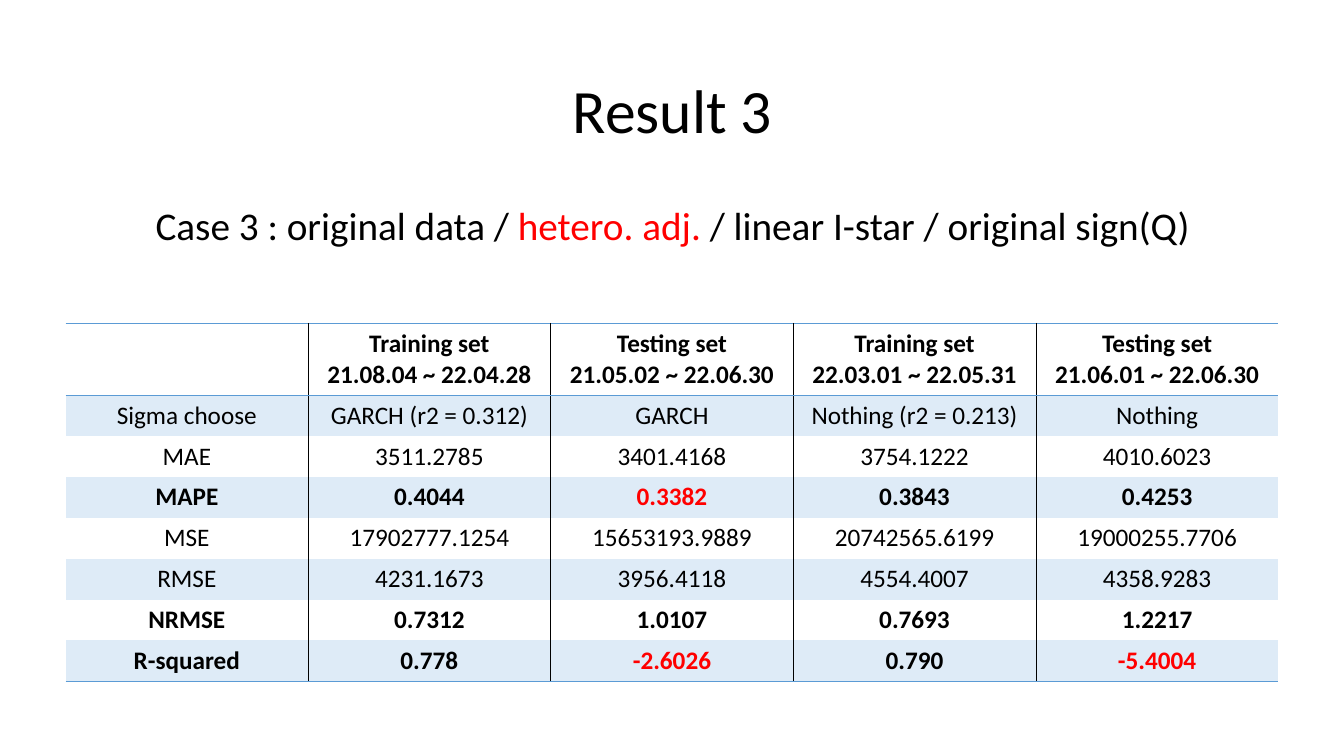
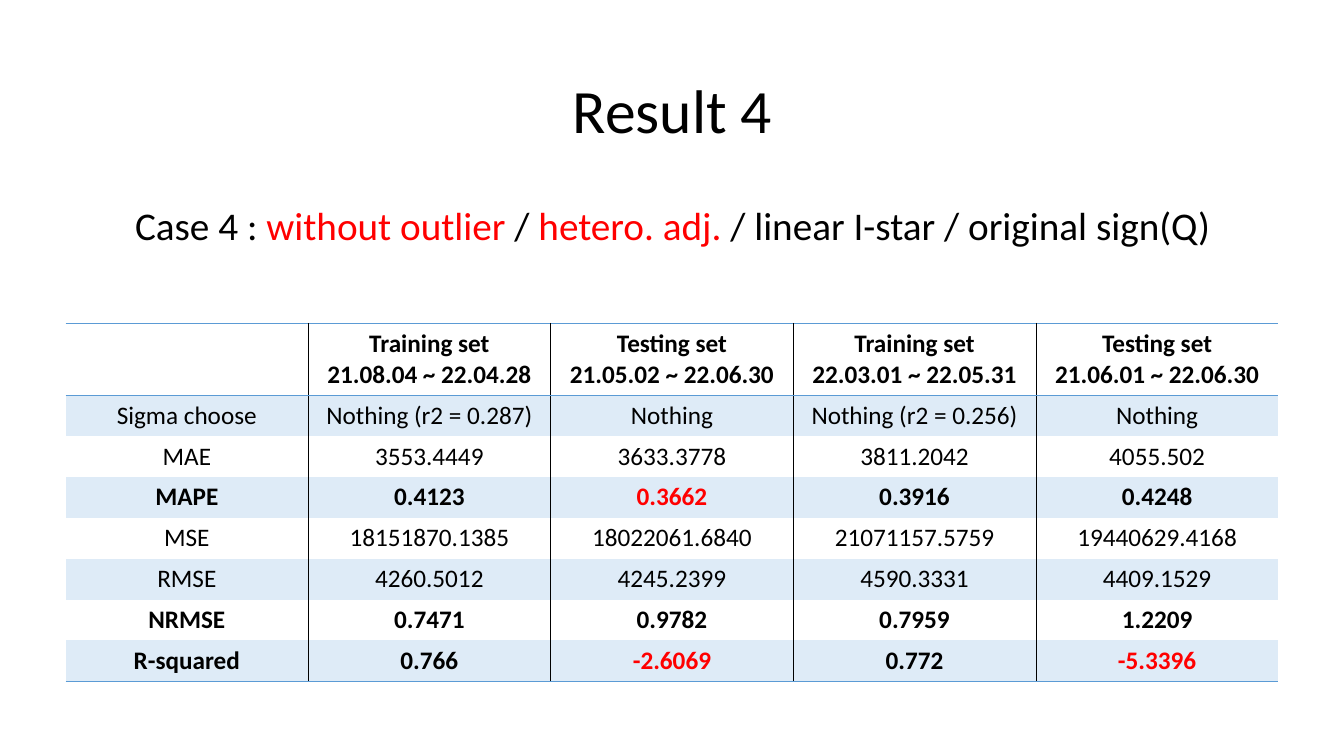
import pptx
import pptx.dml.color
import pptx.enum.text
import pptx.oxml
import pptx.oxml.ns
import pptx.util
from pptx.util import Inches

FONT = "Calibri"
BLACK, RED, BLUE, BAND = "000000", "FF0000", "5B9BD5", "DEEBF7"

# Content shared by the slides
PERIODS = [
    ("Training set", "21.08.04 ~ 22.04.28"),
    ("Testing set", "21.05.02 ~ 22.06.30"),
    ("Training set", "22.03.01 ~ 22.05.31"),
    ("Testing set", "21.06.01 ~ 22.06.30"),
]
METRICS = ["Sigma choose", "MAE", "MAPE", "MSE", "RMSE", "NRMSE", "R-squared"]
BOLD_METRICS = {"MAPE", "NRMSE", "R-squared"}
RED_VALUES = {("MAPE", 2), ("R-squared", 2), ("R-squared", 4)}

# Content of each slide: values follow the order of METRICS
RESULTS = [
    {
        "title": "Result 3",
        "case": [("Case 3 : original data / ", BLACK), ("hetero. adj. ", RED),
                 ("/ linear I-star / original sign(Q)", BLACK)],
        "values": [
            ("GARCH (r2 = 0.312)", "GARCH", "Nothing (r2 = 0.213)", "Nothing"),
            ("3511.2785", "3401.4168", "3754.1222", "4010.6023"),
            ("0.4044", "0.3382", "0.3843", "0.4253"),
            ("17902777.1254", "15653193.9889", "20742565.6199", "19000255.7706"),
            ("4231.1673", "3956.4118", "4554.4007", "4358.9283"),
            ("0.7312", "1.0107", "0.7693", "1.2217"),
            ("0.778", "-2.6026", "0.790", "-5.4004"),
        ],
    },
    {
        "title": "Result 4",
        "case": [("Case 4 : ", BLACK), ("without outlier", RED), (" / ", BLACK),
                 ("hetero. adj. ", RED), ("/ linear I-star / original sign(Q)", BLACK)],
        "values": [
            ("Nothing (r2 = 0.287)", "Nothing", "Nothing (r2 = 0.256)", "Nothing"),
            ("3553.4449", "3633.3778", "3811.2042", "4055.502"),
            ("0.4123", "0.3662", "0.3916", "0.4248"),
            ("18151870.1385", "18022061.6840", "21071157.5759", "19440629.4168"),
            ("4260.5012", "4245.2399", "4590.3331", "4409.1529"),
            ("0.7471", "0.9782", "0.7959", "1.2209"),
            ("0.766", "-2.6069", "0.772", "-5.3396"),
        ],
    },
]

# Layout
TITLE_AREA = (0.92, 0.4, 11.5, 1.45)
CASE_AREA = (0.92, 2, 11.5, 4.76)
TABLE_AREA = (0.65, 3.21, 12.03, 3.54)
HEADER_HEIGHT = 0.7
COLUMN_RULES = [1, 0.5, 1, 0.5]  # widths of the lines between columns


def rgb(value):
    return pptx.dml.color.RGBColor.from_string(value)


def write(frame, lines, size=18, bold=False, color=BLACK, spacing=None):
    """Fill a text frame; a line is a string or a list of (text, colour)."""
    for number, line in enumerate(lines):
        paragraph = frame.add_paragraph() if number else frame.paragraphs[0]
        paragraph.alignment = pptx.enum.text.PP_ALIGN.CENTER
        paragraph.space_before = pptx.util.Pt(0)
        if spacing:
            paragraph.line_spacing = spacing
        parts = [(line, color)] if isinstance(line, str) else line
        for text, part_color in parts:
            run = paragraph.add_run()
            run.text = text
            run.font.name = FONT
            run.font.size = pptx.util.Pt(size)
            run.font.bold = bold
            run.font.color.rgb = rgb(part_color)


def set_borders(cell, **rules):
    """Draw the given sides as (colour, points) and clear the others."""
    properties = cell._tc.get_or_add_tcPr()
    for side in "LRTB":
        color, points = rules.get(side) or (None, 0)
        paint = (f'<a:solidFill><a:srgbClr val="{color}"/></a:solidFill>'
                 if color else "<a:noFill/>")
        properties.append(pptx.oxml.parse_xml(
            f'<a:ln{side} {pptx.oxml.ns.nsdecls("a")} '
            f'w="{int(pptx.util.Pt(points))}">{paint}</a:ln{side}>'))


def place(placeholder, area):
    (placeholder.left, placeholder.top,
     placeholder.width, placeholder.height) = map(Inches, area)


def prepare_layout(layout):
    """Give both slides the same title and case line areas."""
    title, case = layout.placeholders[0], layout.placeholders[1]
    for placeholder, area in ((title, TITLE_AREA), (case, CASE_AREA)):
        place(placeholder, area)
    title.text_frame.vertical_anchor = pptx.enum.text.MSO_ANCHOR.MIDDLE


def add_case(body, parts):
    body.text_frame.auto_size = pptx.enum.text.MSO_AUTO_SIZE.NONE
    properties = body.text_frame.paragraphs[0]._p.get_or_add_pPr()
    properties.set("marL", "0")
    properties.set("indent", "0")
    properties.append(pptx.oxml.parse_xml(
        f'<a:buNone {pptx.oxml.ns.nsdecls("a")}/>'))
    write(body.text_frame, [parts], size=28, spacing=0.9)


def add_results_table(slide, values):
    row_count, column_count = len(METRICS) + 1, len(PERIODS) + 1
    table = slide.shapes.add_table(
        row_count, column_count, *map(Inches, TABLE_AREA)).table
    table.horz_banding = False
    width, height = TABLE_AREA[2:]
    for column in table.columns:
        column.width = Inches(width / column_count)
    for number, row in enumerate(table.rows):
        row.height = Inches((height - HEADER_HEIGHT) / len(METRICS)
                            if number else HEADER_HEIGHT)

    # Each cell is a list of lines
    rows = [[(), *PERIODS]]
    rows += [[(text,) for text in (metric, *row)]
             for metric, row in zip(METRICS, values)]
    column_rules = [None, *((BLACK, points) for points in COLUMN_RULES), None]
    row_rules = [None] * (row_count + 1)
    for edge in (0, 1, row_count):
        row_rules[edge] = (BLUE, 1)

    for r, row in enumerate(rows):
        metric = METRICS[r - 1] if r else None
        for c, lines in enumerate(row):
            cell = table.cell(r, c)
            set_borders(cell, L=column_rules[c], R=column_rules[c + 1],
                        T=row_rules[r], B=row_rules[r + 1])
            if r % 2:
                cell.fill.solid()
                cell.fill.fore_color.rgb = rgb(BAND)
            else:
                cell.fill.background()
            write(cell.text_frame, lines, bold=r == 0 or metric in BOLD_METRICS,
                  color=RED if (metric, c) in RED_VALUES else BLACK)


def main():
    deck = pptx.Presentation()
    deck.slide_width, deck.slide_height = Inches(13.33), Inches(7.5)
    layout = deck.slide_layouts[1]
    prepare_layout(layout)
    for result in RESULTS:
        slide = deck.slides.add_slide(layout)
        write(slide.shapes.title.text_frame, [result["title"]], size=44, spacing=0.9)
        add_case(slide.placeholders[1], result["case"])
        add_results_table(slide, result["values"])
    deck.save("out.pptx")


if __name__ == "__main__":
    main()
